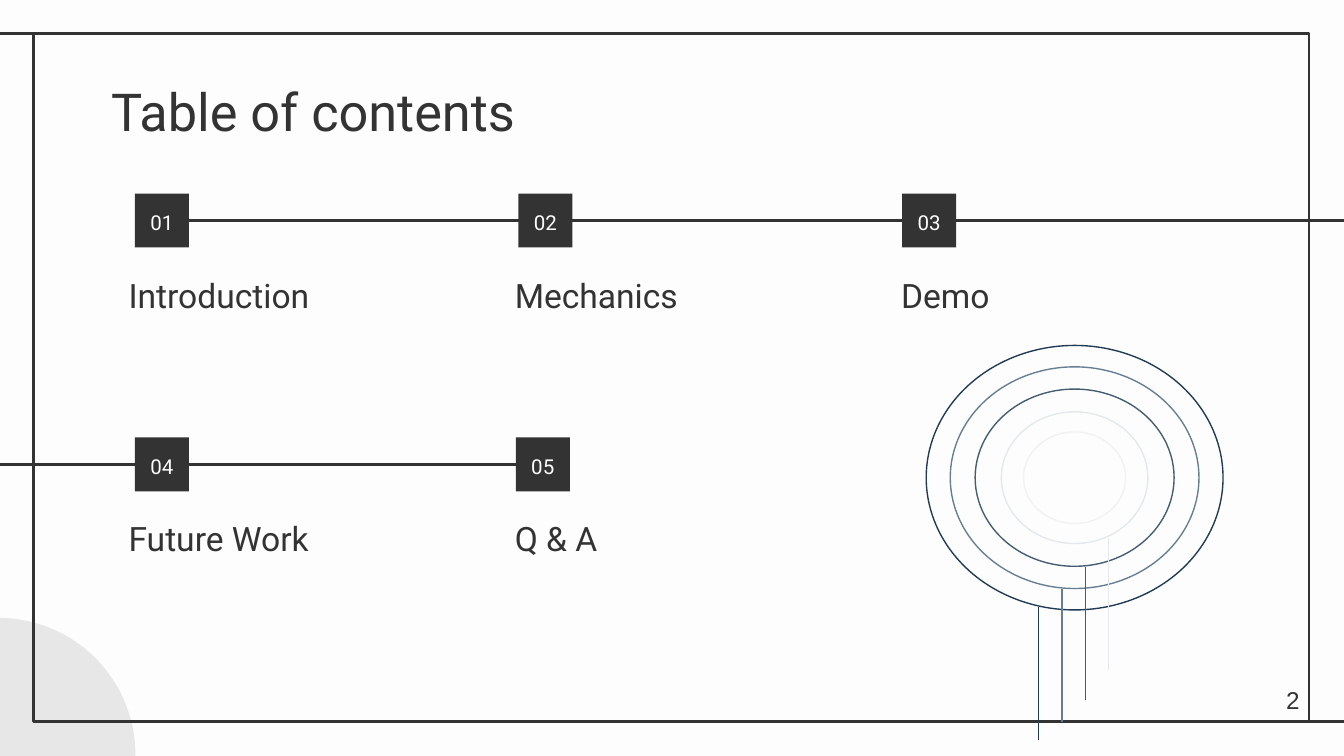
from lxml import etree
from pptx import Presentation
from pptx import util as u
from pptx.dml.color import RGBColor
from pptx.enum import shapes, text
from pptx.oxml.ns import qn

Cm, Pt = u.Cm, u.Pt
COLORS = {
    "paper": "FDFDFD", "ink": "333333", "corner": "E8E7E7",
    "navy": "213B55", "steel": "667E92", "slate": "445D73",
    "mist": "E3E9ED", "fog": "F2F2F2",
}
PAGE_W, PAGE_H = 25.4, 14.29
FRAME = (0.64, 0.64, 24.1, 13)
INSET = 0.25
BADGE = 1.02
LABEL_LEFT, LABEL_STEP, LABEL_DROP = 2.18, 7.3, 1.47

# number, topic, column, badge left, badge top
TOPICS = [
    ("01", "Introduction", 0, 2.55, 3.66),
    ("02", "Mechanics", 1, 9.8, 3.66),
    ("03", "Demo", 2, 17.05, 3.66),
    ("04", "Future Work", 0, 2.55, 8.27),
    ("05", "Q & A", 1, 9.75, 8.27),
]

# colour, width, height, top of the stem
RING_CENTER = (20.31, 9.03)
RINGS = [
    ("navy", 5.61, 5, 11.48),
    ("steel", 4.7, 4.19, 11.13),
    ("slate", 3.76, 3.35, 10.72),
    ("mist", 2.77, 2.49, 10.16),
    ("fog", 1.93, 1.73, None),
]
STEM_LEFT, STEM_STEP, STEM_LENGTH = 19.63, 0.44, 2.51


def rgb(name):
    return RGBColor.from_string(COLORS[name])


def set_all(target, values):
    for name, value in values.items():
        setattr(target, name, value)


def write(shape, words, size, color="ink", font="Roboto", anchor="TOP",
          align="LEFT", spacing=1.0):
    frame = shape.text_frame
    frame.text = words
    set_all(frame, {
        "word_wrap": True,
        "auto_size": text.MSO_AUTO_SIZE.NONE,
        "vertical_anchor": getattr(text.MSO_ANCHOR, anchor),
        **{f"margin_{side}": Cm(INSET)
           for side in ("left", "top", "right", "bottom")},
    })
    paragraph = frame.paragraphs[0]
    set_all(paragraph, {"alignment": getattr(text.PP_ALIGN, align),
                        "line_spacing": spacing})
    set_all(paragraph.font, {"size": Pt(size), "name": font})
    paragraph.font.color.rgb = rgb(color)


def add_textbox(slide, box, words, size, **style):
    write(slide.shapes.add_textbox(*map(Cm, box)), words, size, **style)


def add_figure(slide, kind, box, fill=None, line=None, width=0.75):
    figure = slide.shapes.add_shape(getattr(shapes.MSO_SHAPE, kind),
                                    *map(Cm, box))
    figure.shadow.inherit = False
    if fill:
        figure.fill.solid()
        figure.fill.fore_color.rgb = rgb(fill)
    else:
        figure.fill.background()
    if line:
        figure.line.color.rgb = rgb(line)
        figure.line.width = Pt(width)
    else:
        figure.line.fill.background()
    return figure


def add_line(slide, start, end, color="ink", width=1.5):
    line = slide.shapes.add_connector(shapes.MSO_CONNECTOR.STRAIGHT,
                                      *map(Cm, start + end))
    line.line.color.rgb = rgb(color)
    line.line.width = Pt(width)
    etree.SubElement(line._element.spPr, qn("a:effectLst"))
    return line


def add_backdrop(slide):
    slide.background.fill.solid()
    slide.background.fill.fore_color.rgb = rgb("paper")
    add_figure(slide, "OVAL", (-2.62, 11.68, 5.18, 5.18), fill="corner")
    left, top, width, height = FRAME
    add_figure(slide, "RECTANGLE", FRAME, line="ink", width=1.5)
    add_line(slide, (left, top), (0, top))
    add_line(slide, (left + width, top + height), (PAGE_W, top + height))


def add_title(slide):
    title = slide.shapes.title
    set_all(title, {"left": Cm(1.85), "top": Cm(1.24),
                    "width": Cm(21.41), "height": Cm(1.6)})
    write(title, "Table of contents", 28)


def add_topics(slide):
    """Draw the two timelines first so that the badges cover them."""
    first_y, second_y = 3.66 + BADGE / 2, 8.27 + BADGE / 2
    lower = add_line(slide, (9.75, second_y), (-0.46, second_y))
    upper = add_line(slide, (2.55 + BADGE, first_y), (25.83, first_y))
    badges = {}
    for number, topic, column, left, top in TOPICS:
        badge = add_figure(slide, "RECTANGLE", (left, top, BADGE, BADGE),
                           fill="ink")
        write(badge, number, 11, color="paper", anchor="MIDDLE",
              align="CENTER", spacing=1.15)
        badges[number] = badge
        label = (LABEL_LEFT + column * LABEL_STEP, top + LABEL_DROP, 6.4, 1.07)
        add_textbox(slide, label, topic, 18, anchor="BOTTOM", spacing=1.15)
    upper.begin_connect(badges["01"], 3)
    lower.begin_connect(badges["05"], 1)


def add_rings(slide):
    x, y = RING_CENTER
    for i, (color, width, height, stem_top) in enumerate(RINGS):
        if stem_top:
            stem_x = STEM_LEFT + i * STEM_STEP
            add_line(slide, (stem_x, stem_top),
                     (stem_x, stem_top + STEM_LENGTH), color, 0.75)
        add_figure(slide, "OVAL",
                   (x - width / 2, y - height / 2, width, height), line=color)


def main():
    deck = Presentation()
    set_all(deck, {"slide_width": Cm(PAGE_W), "slide_height": Cm(PAGE_H)})
    slide = deck.slides.add_slide(deck.slide_layouts[5])
    add_backdrop(slide)
    add_title(slide)
    add_topics(slide)
    add_rings(slide)
    add_textbox(slide, (23.29, 12.7, 1.52, 1.09), "2", 13, font="Arial",
                align="RIGHT")
    deck.save("out.pptx")


if __name__ == "__main__":
    main()
